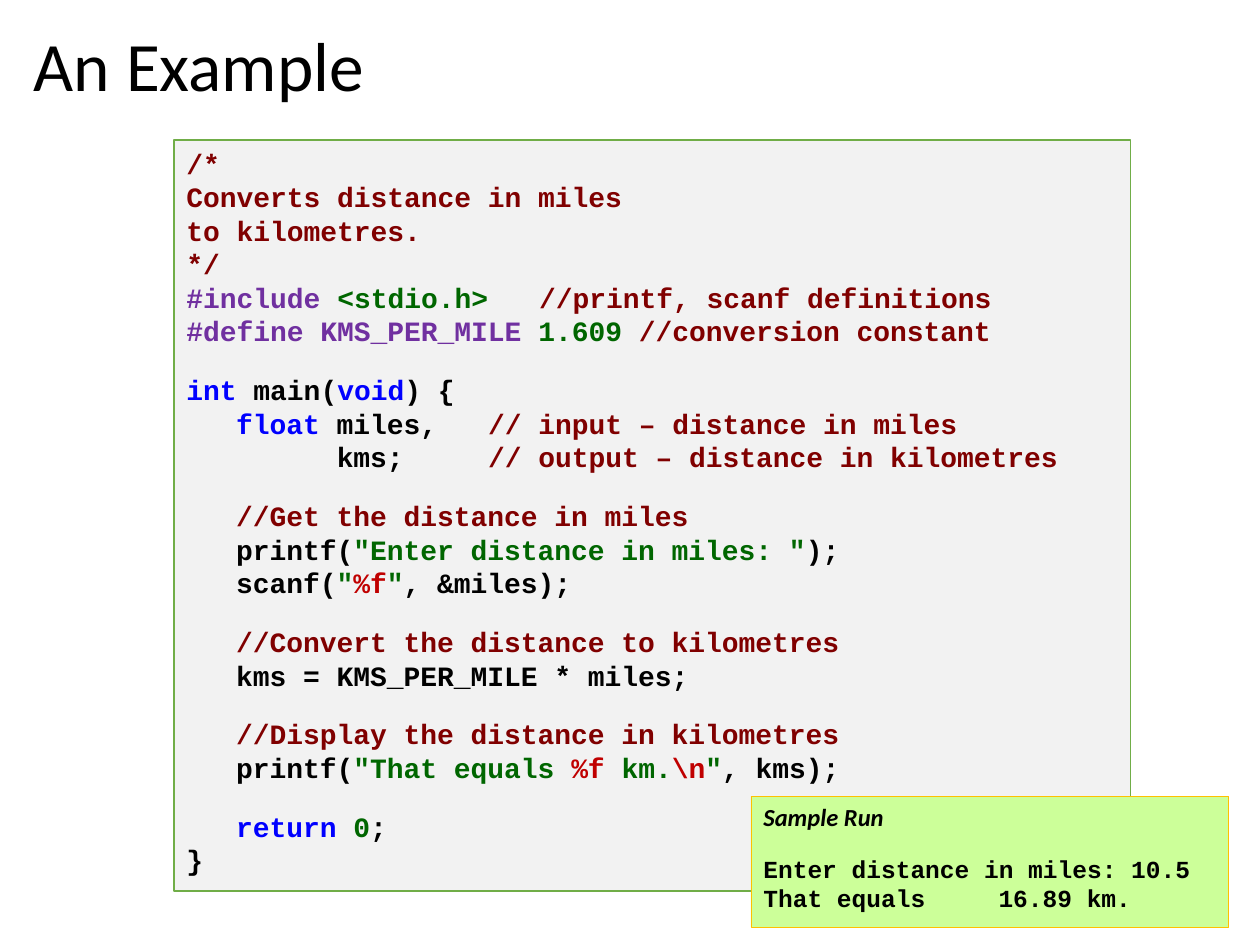
from dataclasses import dataclass
from lxml.etree import SubElement
from pptx import Presentation
from pptx.dml.color import RGBColor as Rgb
from pptx.enum.shapes import MSO_SHAPE as Shapes
from pptx.enum.text import MSO_ANCHOR as Anchor, PP_ALIGN as Align
from pptx.oxml.ns import qn
from pptx.util import Cm, Pt

BLACK = Rgb(0x00, 0x00, 0x00)
MAROON = Rgb(0x80, 0x00, 0x00)
PURPLE = Rgb(0x70, 0x30, 0xA0)
GREEN = Rgb(0x00, 0x66, 0x00)
BLUE = Rgb(0x00, 0x00, 0xFF)
RED = Rgb(0xC0, 0x00, 0x00)
GREY = Rgb(0xF2, 0xF2, 0xF2)
LEAF = Rgb(0x70, 0xAD, 0x47)
LIME = Rgb(0xCC, 0xFF, 0x99)
GOLD = Rgb(0xFF, 0xC0, 0x00)
MONO, SANS = "Courier New", "Calibri"

# Tab stops in cm: comments beside directives, body columns, run output
HEAD, BODY, OUT = (7.11,), (1.0, 3.03, 6.08), (4.74,)


@dataclass
class Line:
    words: list[tuple[str, Rgb]]
    stops: tuple[float, ...] = ()
    gap: float = 0


@dataclass
class Panel:
    left: float
    top: float
    width: float
    height: float
    fill: Rgb
    edge: Rgb
    weight: float


def write(frame, lines: list[Line], face: str, size: float,
          slant: bool = False) -> None:
    frame.word_wrap = True
    frame.vertical_anchor = Anchor.TOP
    for num, line in enumerate(lines):
        par = frame.add_paragraph() if num else frame.paragraphs[0]
        par.alignment = Align.LEFT
        par.space_before = Pt(line.gap)
        if line.stops:
            tabs = SubElement(par._p.get_or_add_pPr(), qn("a:tabLst"))
            for stop in line.stops:
                SubElement(tabs, qn("a:tab"), pos=str(int(Cm(stop))), algn="l")
        for text, tint in line.words:
            run = par.add_run()
            run.text = text
            run.font.color.rgb = tint
        for item in (par, *par.runs):
            font = item.font
            font.name, font.size = face, Pt(size)
            font.bold, font.italic = True, slant


def draw(slide, panel: Panel):
    box = slide.shapes.add_shape(
        Shapes.RECTANGLE, Cm(panel.left), Cm(panel.top),
        Cm(panel.width), Cm(panel.height))
    box.shadow.inherit = False
    box.fill.solid()
    box.fill.fore_color.rgb = panel.fill
    box.line.color.rgb = panel.edge
    box.line.width = Pt(panel.weight)
    return box.text_frame


GAP = 14.4
CODE = [
    Line([("/*", MAROON)]),
    Line([("Converts distance in miles", MAROON)]),
    Line([("to kilometres.", MAROON)]),
    Line([("*/", MAROON)]),
    Line([("#include ", PURPLE), ("<stdio.h>\t", GREEN),
          ("//printf, scanf definitions", MAROON)], HEAD),
    Line([("#define KMS_PER_MILE ", PURPLE), ("1.609 ", GREEN),
          ("//conversion constant", MAROON)]),
    Line([("int", BLUE), (" main(", BLACK), ("void", BLUE),
          (") {", BLACK)], gap=GAP),
    Line([("\tfloat ", BLUE), ("miles,\t", BLACK),
          ("// input – distance in miles", MAROON)], BODY),
    Line([("\t\tkms;\t", BLACK),
          ("// output – distance in kilometres", MAROON)], BODY),
    Line([("\t//Get the distance in miles", MAROON)], BODY, GAP),
    Line([("\tprintf(", BLACK), ('"Enter distance in miles: "', GREEN),
          (");", BLACK)], BODY),
    Line([("\tscanf(", BLACK), ('"', GREEN), ("%f", RED), ('"', GREEN),
          (", &miles);", BLACK)], BODY),
    Line([("\t//Convert the distance to kilometres", MAROON)], BODY, GAP),
    Line([("\tkms = KMS_PER_MILE * miles;", BLACK)], BODY),
    Line([("\t//Display the distance in kilometres", MAROON)], BODY, GAP),
    Line([("\tprintf(", BLACK), ('"That equals ', GREEN), ("%f ", RED),
          ("km.", GREEN), ("\\n", RED), ('"', GREEN),
          (", kms);", BLACK)], BODY),
    Line([("\treturn ", BLUE), ("0", GREEN), (";", BLACK)], BODY, GAP),
    Line([("}", BLACK)]),
]
RESULT = [
    Line([("Enter distance in miles: 10.5", BLACK)]),
    Line([("That equals\t16.89 km.", BLACK)], OUT),
]

deck = Presentation()
deck.slide_width, deck.slide_height = Cm(25.4), Cm(19.05)
slide = deck.slides.add_slide(deck.slide_layouts[5])

# Title
title = slide.shapes.title
title.left, title.top = Cm(0.43), Cm(0.46)
title.width, title.height = Cm(24.43), Cm(1.88)
title.text_frame.text = "An Example"
title.text_frame.vertical_anchor = Anchor.MIDDLE
head = title.text_frame.paragraphs[0]
head.alignment = Align.LEFT
head.line_spacing = 0.9
for item in (head, *head.runs):
    item.font.name, item.font.size = SANS, Pt(39.6)
    item.font.color.rgb = BLACK

# Program code
code = draw(slide, Panel(3.51, 2.82, 19.28, 15.14, GREY, LEAF, 1))
write(code, CODE, MONO, 16)

# Sample run and its output
sample = draw(slide, Panel(15.14, 16.05, 9.63, 2.64, LIME, GOLD, 0.5))
write(sample, [Line([("Sample Run", BLACK)])], SANS, 14, slant=True)
result = slide.shapes.add_textbox(Cm(15.14), Cm(17.09), Cm(9.63), Cm(1.45))
write(result.text_frame, RESULT, MONO, 14)

deck.save("out.pptx")
